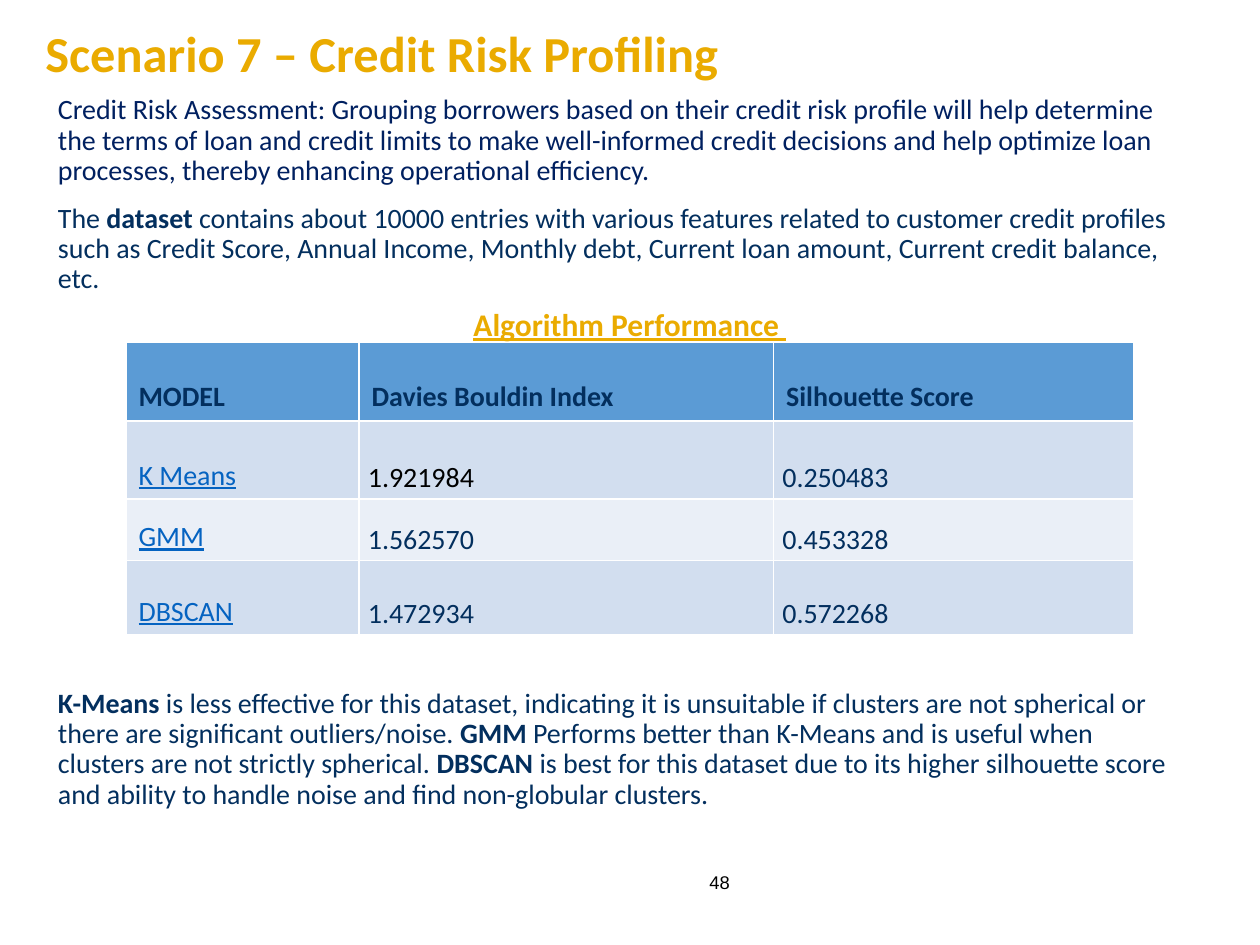
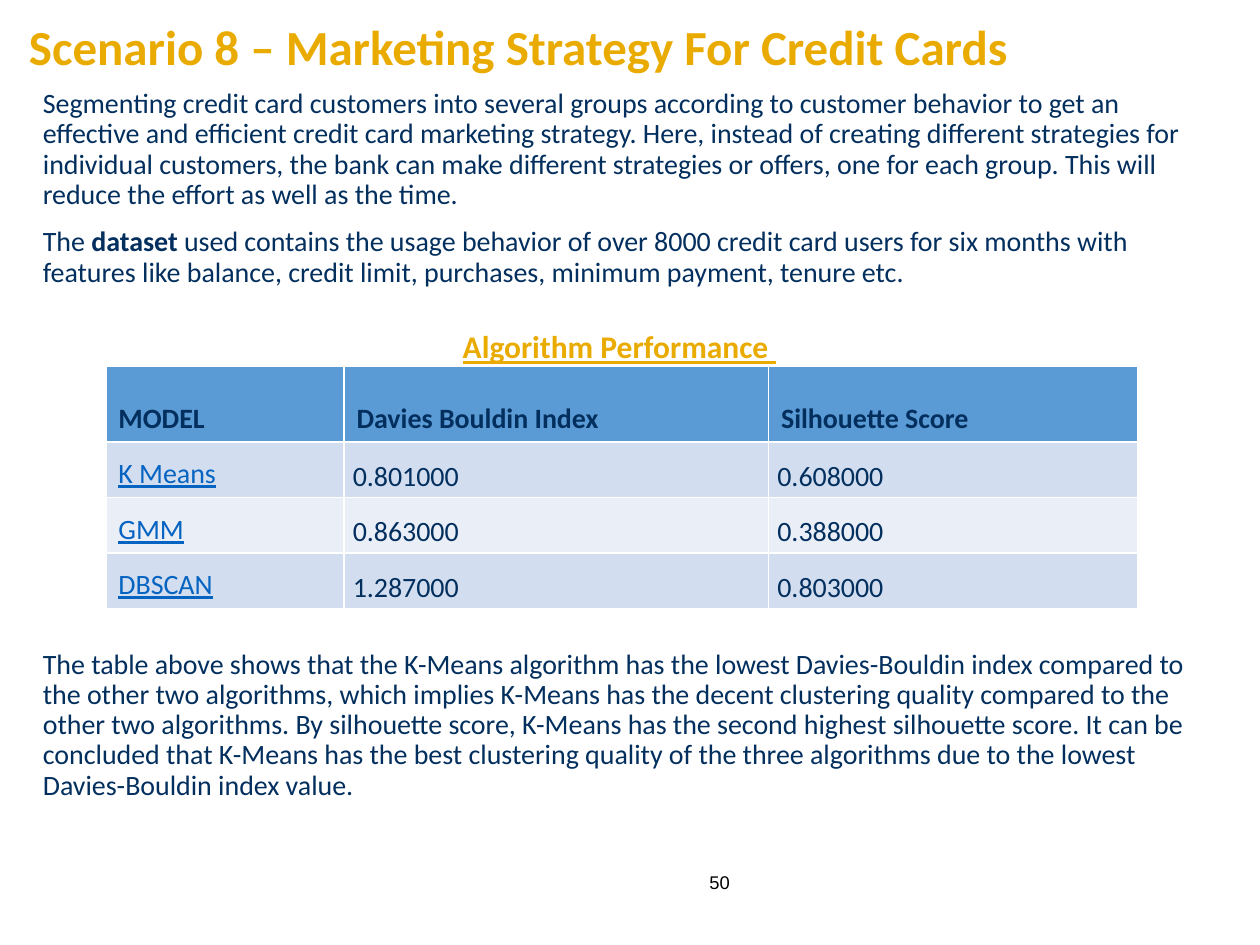
import pptx
import pptx.util
import pptx.dml.color
import pptx.enum.text
import pptx.oxml.ns
import lxml.etree

Inches = pptx.util.Inches
Pt = pptx.util.Pt
RGBColor = pptx.dml.color.RGBColor
ALIGN = pptx.enum.text.PP_ALIGN
ANCHOR = pptx.enum.text.MSO_ANCHOR

GOLD = RGBColor(0xEA, 0xAB, 0x00)
NAVY = RGBColor(0x03, 0x2F, 0x5E)
INDIGO = RGBColor(0x00, 0x20, 0x60)
BLACK = RGBColor(0x00, 0x00, 0x00)
LINK = RGBColor(0x05, 0x63, 0xC1)
HEADER_FILL = RGBColor(0x5B, 0x9B, 0xD5)
BAND_FILLS = (RGBColor(0xD2, 0xDE, 0xEF), RGBColor(0xEA, 0xEF, 0xF7))

COLUMNS = ("MODEL", "Davies Bouldin Index", "Silhouette Score")
TWO_CONTENT = 3


def write(tf, text, size=16, color=NAVY, font="Calibri", bold=False,
          underline=False, align=ALIGN.LEFT, spacing=None, before=0, new=False):
    """Text between double asterisks is bold."""
    p = tf.add_paragraph() if new else tf.paragraphs[0]
    p.alignment = align
    p.space_before = Pt(before)
    if spacing:
        p.line_spacing = spacing
    for i, part in enumerate(text.split("**")):
        if not part:
            continue
        r = p.add_run()
        r.text = part
        r.font.name = font
        r.font.size = Pt(size)
        r.font.bold = bold or i % 2 == 1
        r.font.underline = underline
        r.font.color.rgb = color
    return p


def place(sp, box, anchor=ANCHOR.TOP):
    sp.left, sp.top, sp.width, sp.height = (Inches(v) for v in box)
    tf = sp.text_frame
    tf.word_wrap = True
    tf.auto_size = pptx.enum.text.MSO_AUTO_SIZE.NONE
    tf.vertical_anchor = anchor
    return tf


def add_title(slide, box, text, size):
    tf = place(slide.shapes.title, box, ANCHOR.MIDDLE)
    write(tf, text, size=size, color=GOLD, bold=True, spacing=0.9)


def add_body(sp, box, paragraphs):
    tf = place(sp, box)
    for i, (text, color) in enumerate(paragraphs):
        p = write(tf, text, color=color, spacing=0.9,
                  before=10 if i else 0, new=i > 0)
        pPr = p._p.get_or_add_pPr()
        pPr.set("marL", "0")
        pPr.set("indent", "0")
        lxml.etree.SubElement(pPr, pptx.oxml.ns.qn("a:buNone"))


def add_label(slide, box, text, anchor=ANCHOR.TOP, **fmt):
    sp = slide.shapes.add_textbox(0, 0, 0, 0)
    write(place(sp, box, anchor), text, **fmt)


def fill_cell(cell, text, fill, inset=None, **fmt):
    cell.fill.solid()
    cell.fill.fore_color.rgb = fill
    cell.vertical_anchor = ANCHOR.BOTTOM
    if inset:
        cell.margin_left = cell.margin_right = Inches(inset[0])
        cell.margin_top = cell.margin_bottom = Inches(inset[1])
    write(cell.text_frame, text, **fmt)


def add_scores(slide, origin, widths, heights, scores, black_score):
    box = (*origin, sum(widths), sum(heights))
    frame = slide.shapes.add_table(len(heights), len(widths),
                                   *(Inches(v) for v in box))
    table = frame.table
    for column, width in zip(table.columns, widths):
        column.width = Inches(width)
    for row, height in zip(table.rows, heights):
        row.height = Inches(height)
    for c, heading in enumerate(COLUMNS):
        fill_cell(table.cell(0, c), heading, HEADER_FILL, bold=True)
    for r, (model, *values) in enumerate(scores, start=1):
        band = BAND_FILLS[(r - 1) % 2]
        fill_cell(table.cell(r, 0), model, band, color=LINK, underline=True)
        for c, value in enumerate(values, start=1):
            fill_cell(table.cell(r, c), value, band, inset=(0.07, 0.03),
                      color=BLACK if value == black_score else NAVY)


def add_scenario(prs, title, title_box, title_size, intro, intro_box,
                 closing, closing_box, heading_box, origin, widths, heights,
                 scores, page, black_score=None):
    slide = prs.slides.add_slide(prs.slide_layouts[TWO_CONTENT])
    add_title(slide, title_box, title, title_size)
    add_body(slide.placeholders[1], intro_box, intro)
    add_body(slide.placeholders[2], closing_box, [(closing, NAVY)])
    add_scores(slide, origin, widths, heights, scores, black_score)
    add_label(slide, heading_box, "Algorithm Performance ", size=18,
              color=GOLD, bold=True, underline=True, align=ALIGN.CENTER)
    add_label(slide, (5.4, 6.8, 0.49, 0.4), page, anchor=ANCHOR.MIDDLE,
              size=10.5, font="Arial", color=BLACK, align=ALIGN.RIGHT)


def main():
    prs = pptx.Presentation()
    prs.slide_width, prs.slide_height = Inches(10), Inches(7.5)

    add_scenario(
        prs,
        title="Scenario 7 – Credit Risk Profiling",
        title_box=(0.26, 0.17, 5.97, 0.55),
        title_size=28.8,
        intro=[
            ("Credit Risk Assessment: Grouping borrowers based on their credit "
             "risk profile will help determine the terms of loan and credit "
             "limits to make well-informed credit decisions and help optimize "
             "loan processes, thereby enhancing operational efficiency.", INDIGO),
            ("The **dataset** contains about 10000 entries with various "
             "features related to customer credit profiles such as Credit "
             "Score, Annual Income, Monthly debt, Current loan amount, Current "
             "credit balance, etc.", NAVY),
        ],
        intro_box=(0.36, 0.71, 9.07, 1.91),
        closing="**K-Means **is less effective for this dataset, indicating it "
                "is unsuitable if clusters are not spherical or there are "
                "significant outliers/noise. **GMM **Performs better than "
                "K-Means and is useful when clusters are not strictly "
                "spherical. **DBSCAN** is best for this dataset due to its "
                "higher silhouette score and ability to handle noise and find "
                "non-globular clusters.",
        closing_box=(0.36, 5.42, 9.07, 1.12),
        heading_box=(2.5, 2.37, 5, 0.4),
        origin=(1, 2.72),
        widths=(1.85, 3.29, 2.86),
        heights=(0.62, 0.62, 0.49, 0.59),
        scores=[("K Means", "1.921984", "0.250483"),
                ("GMM", "1.562570", "0.453328"),
                ("DBSCAN", "1.472934", "0.572268")],
        black_score="1.921984",
        page="48")

    add_scenario(
        prs,
        title="Scenario 8 – Marketing Strategy For Credit Cards",
        title_box=(0.13, 0.12, 8.27, 0.54),
        title_size=28,
        intro=[
            ("Segmenting credit card customers into several groups according "
             "to customer behavior to get an effective and efficient credit "
             "card marketing strategy. Here, instead of creating different "
             "strategies for individual customers, the bank can make different "
             "strategies or offers, one for each group. This will reduce the "
             "effort as well as the time.", NAVY),
            ("The **dataset** used contains the usage behavior of over 8000 "
             "credit card users for six months with features like balance, "
             "credit limit, purchases, minimum payment, tenure etc.", NAVY),
        ],
        intro_box=(0.24, 0.66, 9.34, 1.69),
        closing="The table above shows that the K-Means algorithm has the "
                "lowest Davies-Bouldin index compared to the other two "
                "algorithms, which implies K-Means has the decent clustering "
                "quality compared to the other two algorithms. By silhouette "
                "score, K-Means has the second highest silhouette score. It "
                "can be concluded that K-Means has the best clustering quality "
                "of the three algorithms due to the lowest Davies-Bouldin "
                "index value.",
        closing_box=(0.24, 5.11, 9.34, 1.69),
        heading_box=(2.41, 2.55, 5.01, 0.4),
        origin=(0.84, 2.91),
        widths=(1.89, 3.37, 2.93),
        heights=(0.6, 0.44, 0.44, 0.44),
        scores=[("K Means", "0.801000", "0.608000"),
                ("GMM", "0.863000", "0.388000"),
                ("DBSCAN", "1.287000", "0.803000")],
        page="50")

    prs.save("out.pptx")


if __name__ == "__main__":
    main()
